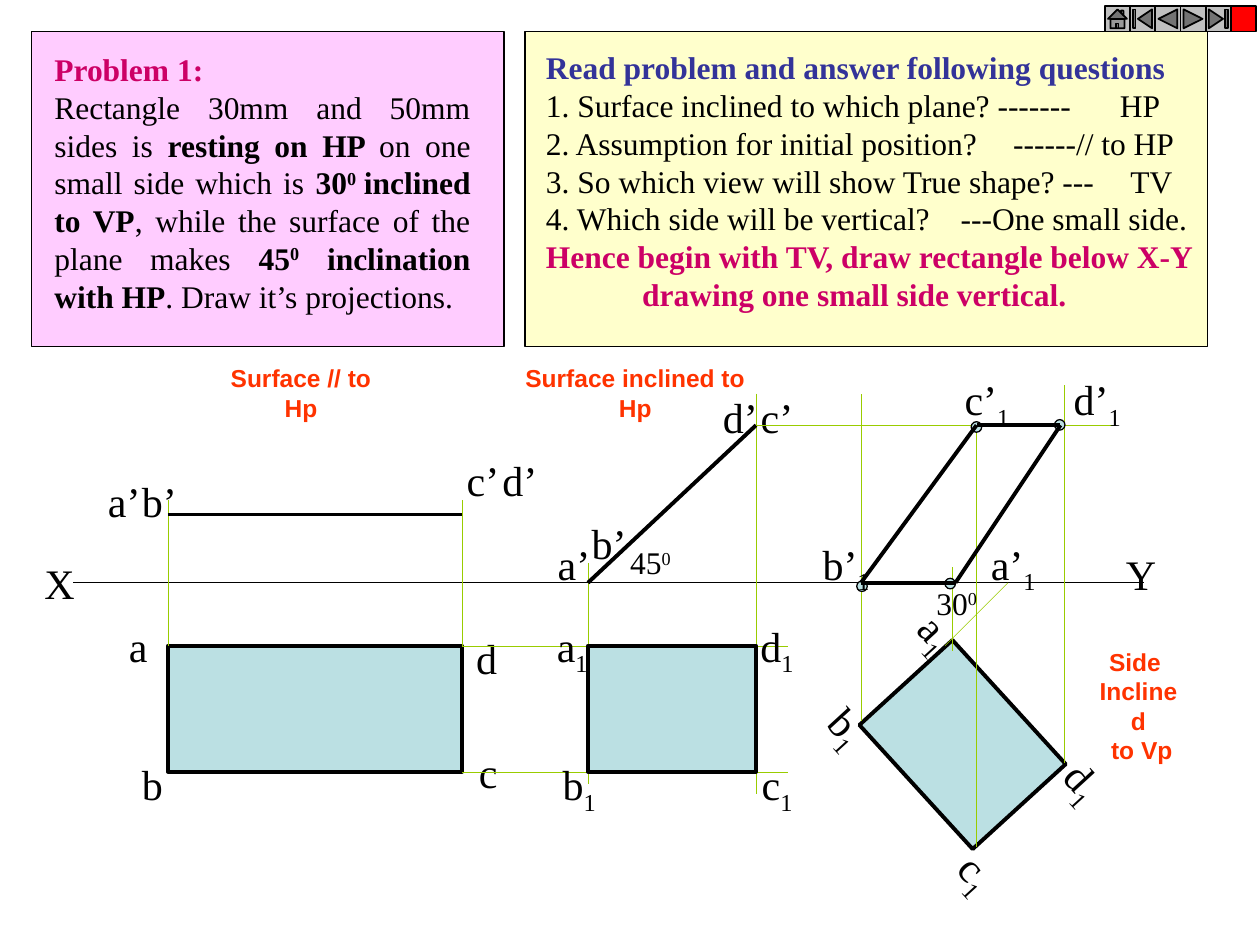
import pptx
import pptx.util
import pptx.dml.color
import pptx.enum.shapes
import pptx.enum.text
import pptx.oxml.ns
import lxml.etree

Pt = pptx.util.Pt
RGB = pptx.dml.color.RGBColor
Kind = pptx.enum.shapes.MSO_SHAPE
Align = pptx.enum.text.PP_ALIGN
qn = pptx.oxml.ns.qn

BLACK = RGB(0, 0, 0)
GREEN = RGB(0x99, 0xCC, 0x00)
TEAL = RGB(0xBB, 0xE0, 0xE3)
PINK = RGB(0xFF, 0xCC, 0xFF)
CREAM = RGB(0xFF, 0xFF, 0xCC)
ROSE = RGB(0xCC, 0x00, 0x66)
NAVY = RGB(0x33, 0x33, 0x99)
ORANGE = RGB(0xFF, 0x33, 0x00)
GREY = RGB(0xC0, 0xC0, 0xC0)
RED = RGB(0xFF, 0, 0)
SERIF = "Times New Roman"
SUB, SUPER = -25000, 30000


def add_shape(slide, kind, box, fill, width, turn=0):
    shape = slide.shapes.add_shape(kind, *map(Pt, box))
    shape.shadow.inherit = False
    shape.fill.solid()
    shape.fill.fore_color.rgb = fill
    shape.line.color.rgb = BLACK
    shape.line.width = Pt(width)
    shape.rotation = turn


def add_line(slide, start, end, color=BLACK, width=2.25):
    line = slide.shapes.add_connector(
        pptx.enum.shapes.MSO_CONNECTOR.STRAIGHT, *map(Pt, start + end))
    line.line.color.rgb = color
    line.line.width = Pt(width)
    lxml.etree.SubElement(line._element.spPr, qn("a:effectLst"))


def add_guide(slide, start, end):
    add_line(slide, start, end, GREEN, 0.25)


def add_box(slide, box, wrap=True):
    shape = slide.shapes.add_textbox(*map(Pt, box))
    shape.text_frame.word_wrap = wrap
    return shape


def add_run(para, text, size=18, color=BLACK, bold=False, base=0, face=SERIF):
    run = para.add_run()
    run.text = text
    run.font.size = Pt(size)
    run.font.name = face
    run.font.bold = bold
    run.font.color.rgb = color
    if base:
        run._r.get_or_add_rPr().set("baseline", str(base))


def next_para(frame, first):
    return frame.paragraphs[0] if first else frame.add_paragraph()


def add_label(slide, mid, top, text, sub="", turn=0):
    shape = add_box(slide, (mid - 24, top, 48, 36), False)
    shape.rotation = turn
    para = shape.text_frame.paragraphs[0]
    para.alignment = Align.CENTER
    add_run(para, text, 24)
    if sub:
        add_run(para, sub, 24, base=SUB)


def add_angle(slide, left, top, value):
    para = add_box(slide, (left, top, 60, 29)).text_frame.paragraphs[0]
    add_run(para, value)
    add_run(para, "0", base=SUPER)


def add_note(slide, box, lines):
    frame = add_box(slide, box).text_frame
    for i, text in enumerate(lines):
        para = next_para(frame, i == 0)
        para.alignment = Align.CENTER
        add_run(para, text, 14, ORANGE, True, face="Arial")


def draw_problem(slide, box):
    x, y, w, h = box
    add_shape(slide, Kind.RECTANGLE, box, PINK, 0.75)
    frame = add_box(slide, (x + 6, y + 7, w - 18, h - 22)).text_frame
    head, body = frame.paragraphs[0], frame.add_paragraph()
    head.alignment = body.alignment = Align.JUSTIFY
    add_run(head, "Problem 1:", color=ROSE, bold=True)
    for text, bold, base in (
            ("Rectangle 30mm and 50mm sides is ", False, 0),
            ("resting on HP ", True, 0),
            ("on one small side which is ", False, 0),
            ("30", True, 0), ("0 ", True, SUPER), ("inclined to VP", True, 0),
            (", while the surface of the plane makes ", False, 0),
            ("45", True, 0), ("0", True, SUPER), (" inclination with HP", True, 0),
            (". Draw it’s projections.", False, 0)):
        add_run(body, text, bold=bold, base=base)


def draw_questions(slide, box):
    x, y, w, h = box
    add_shape(slide, Kind.RECTANGLE, box, CREAM, 0.75)
    shape = add_box(slide, (x + 12, y + 6, w - 14, h - 22))
    frame = shape.text_frame
    frame.margin_left = frame.margin_right = 0
    rows = (
        ("Read problem and answer following questions", NAVY, 0, 0),
        ("1. Surface inclined to which plane? -------\tHP", BLACK, 0, 328),
        ("2. Assumption for initial position?\t------// to HP", BLACK, 0, 267),
        ("3. So which view will show True shape? ---\tTV", BLACK, 0, 334),
        ("4. Which side will be vertical?\t---One small side.", BLACK, 0, 237),
        ("Hence begin with TV, draw rectangle below X-Y", ROSE, 0, 0),
        ("drawing one small side vertical.", ROSE, 55, 0))
    for i, (text, color, indent, stop) in enumerate(rows):
        para = next_para(frame, i == 0)
        props = para._p.get_or_add_pPr()
        props.set("marL", str(Pt(indent)))
        if stop:
            tabs = lxml.etree.SubElement(props, qn("a:tabLst"))
            lxml.etree.SubElement(tabs, qn("a:tab"), pos=str(Pt(stop)), algn="l")
        add_run(para, text, color=color, bold=color != BLACK)


def draw_axis(slide, box):
    x, y, w, h = box
    add_line(slide, (x, y), (x + w, y), width=0.75)
    add_label(slide, x - 8, y - 18, "X")
    add_label(slide, x + w - 2, y - 23, "Y")


def draw_first(slide, box):
    x, y, w, h = box
    add_shape(slide, Kind.RECTANGLE, box, TEAL, 2.25)
    for side in (x, x + w):
        add_guide(slide, (side, y), (side, y - 83))
    add_line(slide, (x, y - 75), (x + w, y - 75))
    for text, dx, dy in (
            ("a", -17, -18), ("b", -9, 61), ("c", w + 15, 54), ("d", w + 14, -11),
            ("a’", -25, -101), ("b’", -5, -101),
            ("c’", w + 12, -113), ("d’", w + 33, -113)):
        add_label(slide, x + dx, y + dy, text)


def draw_second(slide, box):
    x, y, w, h = box
    add_guide(slide, (x, y - 47), (x, y + 79))
    add_guide(slide, (x + w, y - 144), (x + w, y + 85))
    for edge in (y, y + h):
        add_guide(slide, (x - 72, edge), (x + w + 18, edge))
    add_shape(slide, Kind.RECTANGLE, box, TEAL, 2.25)
    add_line(slide, (x, y - 36), (x + w, y - 126))
    for text, sub, dx, dy in (
            ("a", "1", -9, -18), ("b", "1", -5, 61),
            ("c", "1", w + 12, 61), ("d", "1", w + 12, -18),
            ("a’", "", -8, -65), ("b’", "", 12, -77),
            ("d’", "", w - 9, -149), ("c’", "", w + 12, -149)):
        add_label(slide, x + dx, y + dy, text, sub)
    add_angle(slide, x + 17, y - 62, "45")


def draw_third(slide, box):
    x, y, w, h = box
    turn = 47.6
    add_shape(slide, Kind.RECTANGLE, (x + 34, y + 179.5, 96, 72), TEAL, 2.25, turn)
    for ax, ay, bx, by in (
            (72, 159, 108, 123), (24, 202, 24, 15), (90, 274, 90, 33),
            (140, 226, 140, 10), (-36, 33, 168, 33), (76, 162, 76, 114)):
        add_guide(slide, (x + ax, y + ay), (x + bx, y + by))
    for dx, dy in ((21.6, 122), (72, 120.5), (87, 31), (134.6, 29.8)):
        add_shape(slide, Kind.OVAL, (x + dx, y + dy, 6, 6), TEAL, 0.75)
    ends = [(x + dx, y + dy) for dx, dy in ((90, 33), (138, 33), (78, 123), (24, 123))]
    for start, end in zip(ends, ends[1:] + ends[:1]):
        add_line(slide, start, end)
    for text, dx, dy, angle in (
            ("a", 68, 133, turn), ("b", 17, 187, turn),
            ("c", 91, 270, turn), ("d", 152, 218, turn),
            ("c’", 96, 0, 0), ("d’", 159, 0, 0),
            ("b’", 15.5, 94, 0), ("a’", 111, 94, 0)):
        add_label(slide, x + dx, y + dy, text, "1", angle)
    add_angle(slide, x + 60, y + 120, "30")


def draw_nav(slide, box):
    x, y, w, h = box
    kinds = (Kind.ACTION_BUTTON_HOME, Kind.ACTION_BUTTON_BEGINNING,
             Kind.ACTION_BUTTON_BACK_OR_PREVIOUS, Kind.ACTION_BUTTON_FORWARD_OR_NEXT,
             Kind.ACTION_BUTTON_END, Kind.ACTION_BUTTON_CUSTOM)
    step = w / len(kinds)
    for i, kind in enumerate(kinds):
        fill = RED if kind == Kind.ACTION_BUTTON_CUSTOM else GREY
        add_shape(slide, kind, (x + i * step, y, step, h), fill, 1)


def main():
    deck = pptx.Presentation()
    deck.slide_width, deck.slide_height = Pt(720), Pt(540)
    slide = deck.slides.add_slide(deck.slide_layouts[6])
    draw_axis(slide, (42, 333, 612, 0))
    draw_first(slide, (96, 369, 168, 72))
    draw_second(slide, (336, 369, 96, 72))
    draw_third(slide, (468, 210, 186, 306))
    draw_problem(slide, (18, 18, 270, 180))
    draw_questions(slide, (300, 18, 390, 180))
    add_note(slide, (118, 204, 108, 41), ["Surface // to Hp"])
    add_note(slide, (291, 204, 144, 41), ["Surface inclined to Hp"])
    add_note(slide, (618, 366, 65, 75), ["Side ", "Inclined", " to Vp"])
    draw_nav(slide, (631.4, 3.6, 86.4, 14.4))
    deck.save("out.pptx")


if __name__ == "__main__":
    main()
